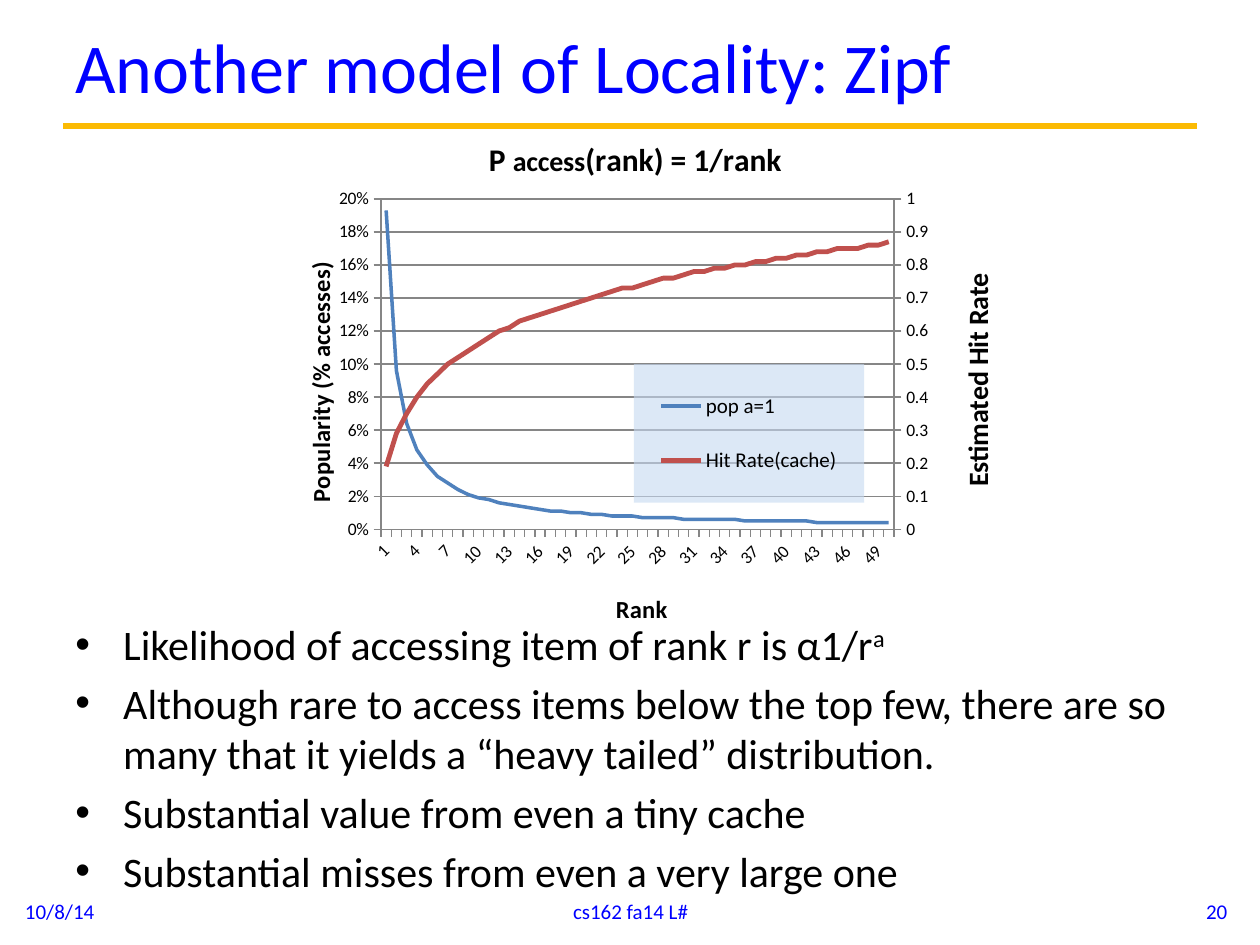
from copy import deepcopy
from itertools import accumulate
from typing import NamedTuple

from lxml import etree
from pptx import Presentation
from pptx.chart.data import CategoryChartData
from pptx.dml.color import RGBColor
from pptx.enum.chart import XL_CHART_TYPE, XL_LEGEND_POSITION, XL_TICK_MARK
from pptx.enum.shapes import MSO_CONNECTOR
from pptx.enum.text import MSO_ANCHOR, PP_ALIGN
from pptx.oxml import parse_xml
from pptx.oxml.ns import nsdecls, qn
from pptx.util import Inches, Pt

LINE = XL_CHART_TYPE.LINE
RIGHT_LEGEND = XL_LEGEND_POSITION.RIGHT
OUT = XL_TICK_MARK.OUTSIDE
STRAIGHT = MSO_CONNECTOR.STRAIGHT
TOP, MIDDLE = MSO_ANCHOR.TOP, MSO_ANCHOR.MIDDLE
LEFT, CENTER, RIGHT = PP_ALIGN.LEFT, PP_ALIGN.CENTER, PP_ALIGN.RIGHT

BLUE = RGBColor(0x00, 0x00, 0xFF)
BLACK = RGBColor(0x00, 0x00, 0x00)
GOLD = RGBColor(0xFB, 0xBA, 0x03)
GRAY = RGBColor(0x86, 0x86, 0x86)
POP = RGBColor(0x4F, 0x81, 0xBD)
HIT = RGBColor(0xC0, 0x50, 0x4D)
FONT = "Calibri"
SHARE = 0.1926  # access share of the top item
RANKS = range(1, 51)


class Label(NamedTuple):
    text: str
    box: tuple[float, float, float, float]
    size: int
    align: PP_ALIGN


LABELS = [
    Label("Another model of Locality: Zipf", (0.5, 0.04, 9, 0.96), 40, LEFT),
    Label("10/8/14", (0.1, 7.03, 2.33, 0.4), 12, LEFT),
    Label("cs162 fa14 L#", (3.42, 7.03, 3.17, 0.4), 12, CENTER),
    Label("20", (7.51, 7.03, 2.33, 0.4), 12, RIGHT),
]
POINTS = [
    ("Likelihood of accessing item of rank r is α1/r", "a"),
    ("Although rare to access items below the top few, there are so many "
     "that it yields a “heavy tailed” distribution.", ""),
    ("Substantial value from even a tiny cache", ""),
    ("Substantial misses from even a very large one", ""),
]


def apply(item, **values) -> None:
    for name, value in values.items():
        setattr(item, name, value)


def style(font, size: float, color: RGBColor = BLACK, bold: bool = False) -> None:
    apply(font, name=FONT, size=Pt(size), bold=bold)
    font.color.rgb = color


def add_box(slide, box: tuple, anchor: MSO_ANCHOR):
    frame = slide.shapes.add_textbox(*map(Inches, box)).text_frame
    apply(frame, word_wrap=True, vertical_anchor=anchor)
    return frame


def add_label(slide, label: Label) -> None:
    para = add_box(slide, label.box, MIDDLE).paragraphs[0]
    apply(para, text=label.text, alignment=label.align)
    style(para.runs[0].font, label.size, BLUE)


def add_points(slide) -> None:
    frame = add_box(slide, (0.5, 4.86, 9, 1.86), TOP)
    for i, (text, power) in enumerate(POINTS):
        para = frame.add_paragraph() if i else frame.paragraphs[0]
        props = para._p.get_or_add_pPr()
        props.set("marL", str(Inches(0.38)))
        props.set("indent", str(-Inches(0.38)))
        etree.SubElement(props, qn("a:buFont"), typeface="Arial")
        etree.SubElement(props, qn("a:buChar"), char="•")
        para.space_before = Pt(4.8 if i else 0)
        for part in filter(None, (text, power)):
            run = para.add_run()
            run.text = part
            style(run.font, 24)
        if power:
            run._r.get_or_add_rPr().set("baseline", "30000")


def layout(x: float, y: float, w: float = 0, h: float = 0, inner: bool = False):
    """Manual place, as shares of the chart's width and height."""
    target = '<c:layoutTarget val="inner"/>' if inner else ""
    modes = '<c:xMode val="edge"/><c:yMode val="edge"/>'
    size = f'<c:w val="{w}"/><c:h val="{h}"/>' if w else ""
    return parse_xml(
        f'<c:layout {nsdecls("c")}><c:manualLayout>{target}{modes}'
        f'<c:x val="{x}"/><c:y val="{y}"/>{size}</c:manualLayout></c:layout>')


def set_title(owner, parts: list[tuple[str, int]], x: float, y: float) -> None:
    owner.has_title = True
    title = owner.axis_title if hasattr(owner, "axis_title") else owner.chart_title
    para = title.text_frame.paragraphs[0]
    for text, size in parts:
        run = para.add_run()
        run.text = text
        style(run.font, size, bold=True)
    root = title._element
    for old in root.findall(qn("c:layout")):
        root.remove(old)
    root.find(qn("c:tx")).addnext(layout(x, y))


def set_axis(axis) -> None:
    apply(axis, major_tick_mark=OUT, minor_tick_mark=XL_TICK_MARK.NONE)
    style(axis.tick_labels.font, 10)
    axis.format.line.color.rgb = GRAY


def add_right(chart) -> None:
    """Move the second series to its own plot with an axis at the right."""
    area = chart._chartSpace.find(".//" + qn("c:plotArea"))
    plot = area.find(qn("c:lineChart"))
    twin = deepcopy(plot)
    plot.remove(plot.findall(qn("c:ser"))[1])
    twin.remove(twin.findall(qn("c:ser"))[0])
    plot.addnext(twin)
    cat, val = chart.category_axis._element, chart.value_axis._element
    cat2, val2 = deepcopy(cat), deepcopy(val)
    val.addnext(val2)
    val2.addnext(cat2)
    ids = {cat.find(qn("c:axId")).get("val"): "50010",
           val.find(qn("c:axId")).get("val"): "50020"}
    for root in (twin, cat2, val2):
        for node in root.iter(qn("c:axId"), qn("c:crossAx")):
            node.set("val", ids[node.get("val")])
    cat2.find(qn("c:delete")).set("val", "1")
    for root, tag in ((cat2, "c:title"), (val2, "c:majorGridlines")):
        root.remove(root.find(qn(tag)))
    changes = {"c:axPos": "r", "c:crosses": "max", "c:majorUnit": "0.1",
               "c:scaling/c:max": "1"}
    for tag, value in changes.items():
        val2.find("/".join(map(qn, tag.split("/")))).set("val", value)
    val2.find(qn("c:numFmt")).set("formatCode", "General")
    title = val2.find(qn("c:title"))
    title.find(".//" + qn("a:t")).text = "Estimated Hit Rate"
    title.find(".//" + qn("a:rPr")).set("sz", "1600")
    title.replace(title.find(qn("c:layout")), layout(0.93, 0.3))


def add_zipf(slide) -> None:
    shares = [SHARE / rank for rank in RANKS]
    data = CategoryChartData()
    data.categories = [str(rank) for rank in RANKS]
    data.add_series("pop a=1", [round(v, 3) for v in shares])
    data.add_series("Hit Rate(cache)", [round(v, 2) for v in accumulate(shares)])
    box = map(Inches, (2.08, 0.86, 5.9, 4.23))
    chart = slide.shapes.add_chart(LINE, *box, data).chart
    style(chart.font, 10)
    set_title(chart, [("P ", 18), ("access", 16), ("(rank) = 1/rank", 18)], 0.3, 0.05)
    chart.plots[0].vary_by_categories = False
    for series, color, width in zip(chart.plots[0].series, (POP, HIT), (2, 2.75)):
        series.smooth = False
        apply(series.format.line, width=Pt(width))
        series.format.line.color.rgb = color
        series.marker.style = None
        series._element.get_or_add_marker().get_or_add_symbol().set("val", "none")

    # Axes
    cat, val = chart.category_axis, chart.value_axis
    set_axis(cat)
    set_axis(val)
    set_title(cat, [("Rank", 14)], 0.47, 0.9)
    set_title(val, [("Popularity (% accesses)", 14)], 0.05, 0.28)
    apply(val, minimum_scale=0, maximum_scale=0.2, major_unit=0.02,
          has_major_gridlines=True)
    val.major_gridlines.format.line.color.rgb = GRAY
    apply(val.tick_labels, number_format="0%", number_format_is_linked=False)
    body = val.axis_title._element.find(".//" + qn("a:bodyPr"))
    body.set("rot", "-5400000")
    body.set("vert", "horz")
    cat._element.find(qn("c:txPr")).find(qn("a:bodyPr")).set("rot", "-2700000")
    skip = parse_xml(f'<c:tickLblSkip {nsdecls("c")} val="3"/>')
    cat._element.find(qn("c:noMultiLvlLbl")).addprevious(skip)
    add_right(chart)

    # Plot area and legend
    area = chart._chartSpace.find(".//" + qn("c:plotArea"))
    for old in area.findall(qn("c:layout")):
        area.remove(old)
    area.insert(0, layout(0.16, 0.17, 0.69, 0.62, inner=True))
    chart.has_legend = True
    apply(chart.legend, position=RIGHT_LEGEND, include_in_layout=True)
    style(chart.legend.font, 12)
    over = chart.legend._element.find(qn("c:overlay"))
    over.addprevious(layout(0.5, 0.48, 0.31, 0.26))
    over.addnext(parse_xml(
        f'<c:spPr {nsdecls("c", "a")}><a:solidFill><a:srgbClr val="C6D9F1">'
        '<a:alpha val="60000"/></a:srgbClr></a:solidFill></c:spPr>'))


def main() -> None:
    deck = Presentation()
    apply(deck, slide_width=Inches(10), slide_height=Inches(7.5))
    slide = deck.slides.add_slide(deck.slide_layouts[6])
    # Rule under the title
    rule = slide.shapes.add_connector(STRAIGHT, *map(Inches, (0.5, 1, 9.5, 1)))
    rule.line.color.rgb = GOLD
    rule.line.width = Pt(3.75)
    etree.SubElement(rule._element.spPr, qn("a:effectLst"))
    # Text and chart
    for label in LABELS:
        add_label(slide, label)
    add_points(slide)
    add_zipf(slide)
    deck.save("out.pptx")


if __name__ == "__main__":
    main()
